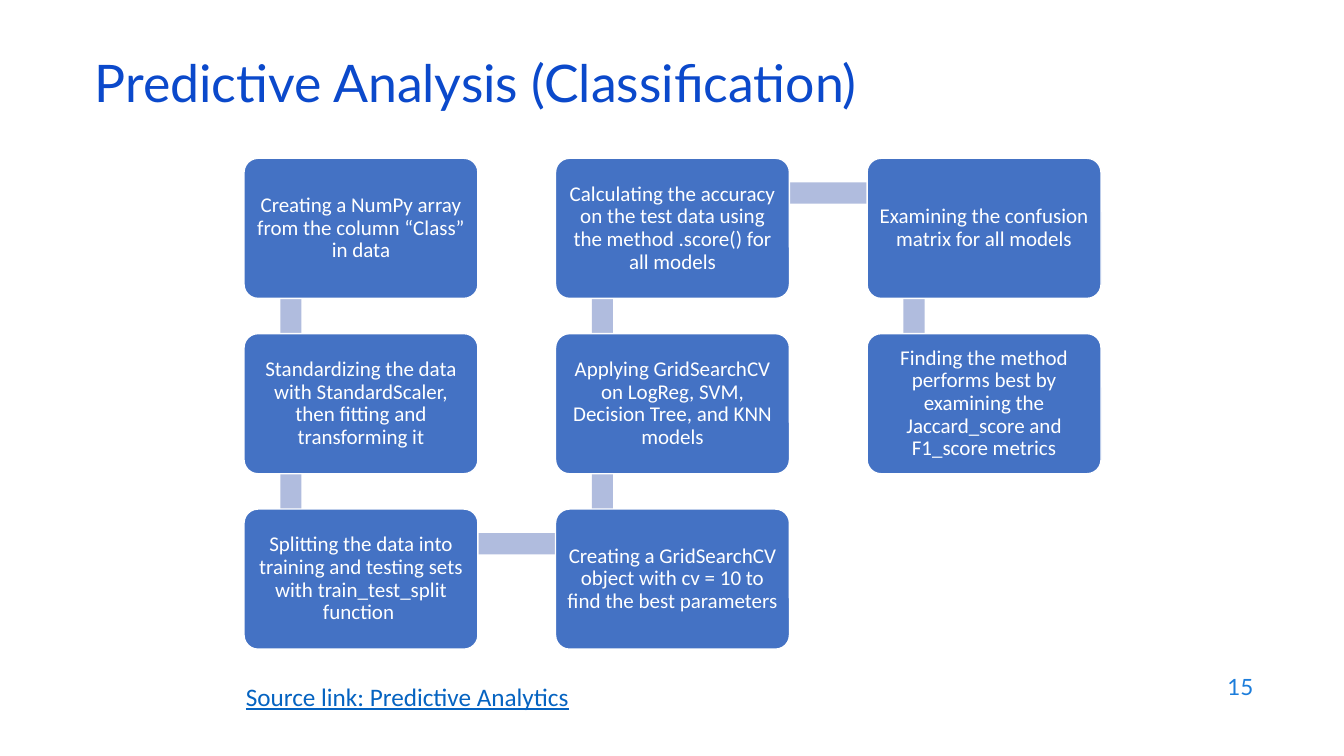
from typing import NamedTuple

from pptx import Presentation
from pptx.dml.color import RGBColor
from pptx.enum.shapes import MSO_SHAPE
from pptx.enum.text import MSO_ANCHOR, MSO_AUTO_SIZE, PP_ALIGN
from pptx.util import Inches, Pt

TITLE_BLUE = RGBColor(0x0B, 0x49, 0xCB)
NUMBER_BLUE = RGBColor(0x1C, 0x7D, 0xDB)
LINK_BLUE = RGBColor(0x05, 0x63, 0xC1)
BOX_BLUE = RGBColor(0x44, 0x72, 0xC4)
BAR_BLUE = RGBColor(0xB0, 0xBC, 0xDE)
WHITE = RGBColor(0xFF, 0xFF, 0xFF)

LEFT, TOP = 2.42, 1.57
COL_STEP, ROW_STEP = 3.09, 1.74
BOX_W, BOX_H = 2.32, 1.39
BAR = 0.21


class Step(NamedTuple):
    col: int
    row: int
    text: str

    @property
    def x(self) -> float:
        return LEFT + self.col * COL_STEP

    @property
    def y(self) -> float:
        return TOP + self.row * ROW_STEP


STEPS = [
    Step(0, 0, "Creating a NumPy array from the column “Class” in data"),
    Step(0, 1, "Standardizing the data with StandardScaler, then fitting and transforming it"),
    Step(0, 2, "Splitting the data into training and testing sets with train_test_split function "),
    Step(1, 2, "Creating a GridSearchCV object with cv = 10 to find the best parameters "),
    Step(1, 1, "Applying GridSearchCV on LogReg, SVM, Decision Tree, and KNN models"),
    Step(1, 0, "Calculating the accuracy on the test data using the method .score() for all models"),
    Step(2, 0, "Examining the confusion matrix for all models"),
    Step(2, 1, "Finding the method performs best by examining the Jaccard_score and F1_score metrics"),
]


def place(s, x: float, y: float, w: float, h: float) -> None:
    s.left, s.top, s.width, s.height = Inches(x), Inches(y), Inches(w), Inches(h)


def write(s, text: str, font: str, size: float, color: RGBColor,
          align: PP_ALIGN = PP_ALIGN.LEFT, anchor: MSO_ANCHOR = MSO_ANCHOR.MIDDLE,
          spacing: float = 1.0):
    tf = s.text_frame
    tf.word_wrap = True
    tf.auto_size = MSO_AUTO_SIZE.NONE
    tf.vertical_anchor = anchor
    p = tf.paragraphs[0]
    p.text = text
    p.alignment = align
    p.line_spacing = spacing
    p.font.name = font
    p.font.size = Pt(size)
    p.font.color.rgb = color
    return p


def add_filled(shapes, kind: MSO_SHAPE, x: float, y: float, w: float, h: float,
               color: RGBColor):
    s = shapes.add_shape(kind, Inches(x), Inches(y), Inches(w), Inches(h))
    s.shadow.inherit = False
    s.fill.solid()
    s.fill.fore_color.rgb = color
    s.line.fill.background()
    return s


def add_bar(shapes, start: Step, end: Step) -> None:
    if start.col == end.col:
        box = (start.x + 0.36, min(start.y, end.y) + 0.35, BAR, 1.73)
    else:
        box = (start.x + 0.47, start.y + 0.24, 3.08, BAR)
    add_filled(shapes, MSO_SHAPE.RECTANGLE, *box, BAR_BLUE)


def add_step(shapes, step: Step) -> None:
    s = add_filled(shapes, MSO_SHAPE.ROUNDED_RECTANGLE, step.x, step.y, BOX_W, BOX_H, BOX_BLUE)
    s.adjustments[0] = 0.1
    s.line.color.rgb = WHITE
    s.line.width = Pt(1)
    tf = s.text_frame
    tf.margin_left = tf.margin_right = tf.margin_top = tf.margin_bottom = Inches(0.06)
    write(s, step.text, "Calibri", 15, WHITE, PP_ALIGN.CENTER, spacing=0.9)


def add_label(shapes, x: float, y: float, w: float, h: float):
    return shapes.add_textbox(Inches(x), Inches(y), Inches(w), Inches(h))


def main() -> None:
    prs = Presentation()
    prs.slide_width, prs.slide_height = Inches(13.33), Inches(7.5)
    slide = prs.slides.add_slide(prs.slide_layouts[5])
    shapes = slide.shapes

    place(shapes.title, 0.84, 0.59, 11.5, 0.6)
    write(shapes.title, "Predictive Analysis (Classification)", "Lato", 37, TITLE_BLUE,
          spacing=0.7)

    for start, end in zip(STEPS, STEPS[1:]):
        add_bar(shapes, start, end)
    for step in STEPS:
        add_step(shapes, step)

    link = add_label(shapes, 2.34, 6.71, 9.41, 0.4)
    p = write(link, "Source link: Predictive Analytics", "Calibri", 18, LINK_BLUE,
              anchor=MSO_ANCHOR.TOP)
    p.font.underline = True

    number = add_label(shapes, 9.53, 6.59, 3, 0.44)
    write(number, "15", "Lato", 16, NUMBER_BLUE, PP_ALIGN.RIGHT)

    prs.save("out.pptx")


if __name__ == "__main__":
    main()
